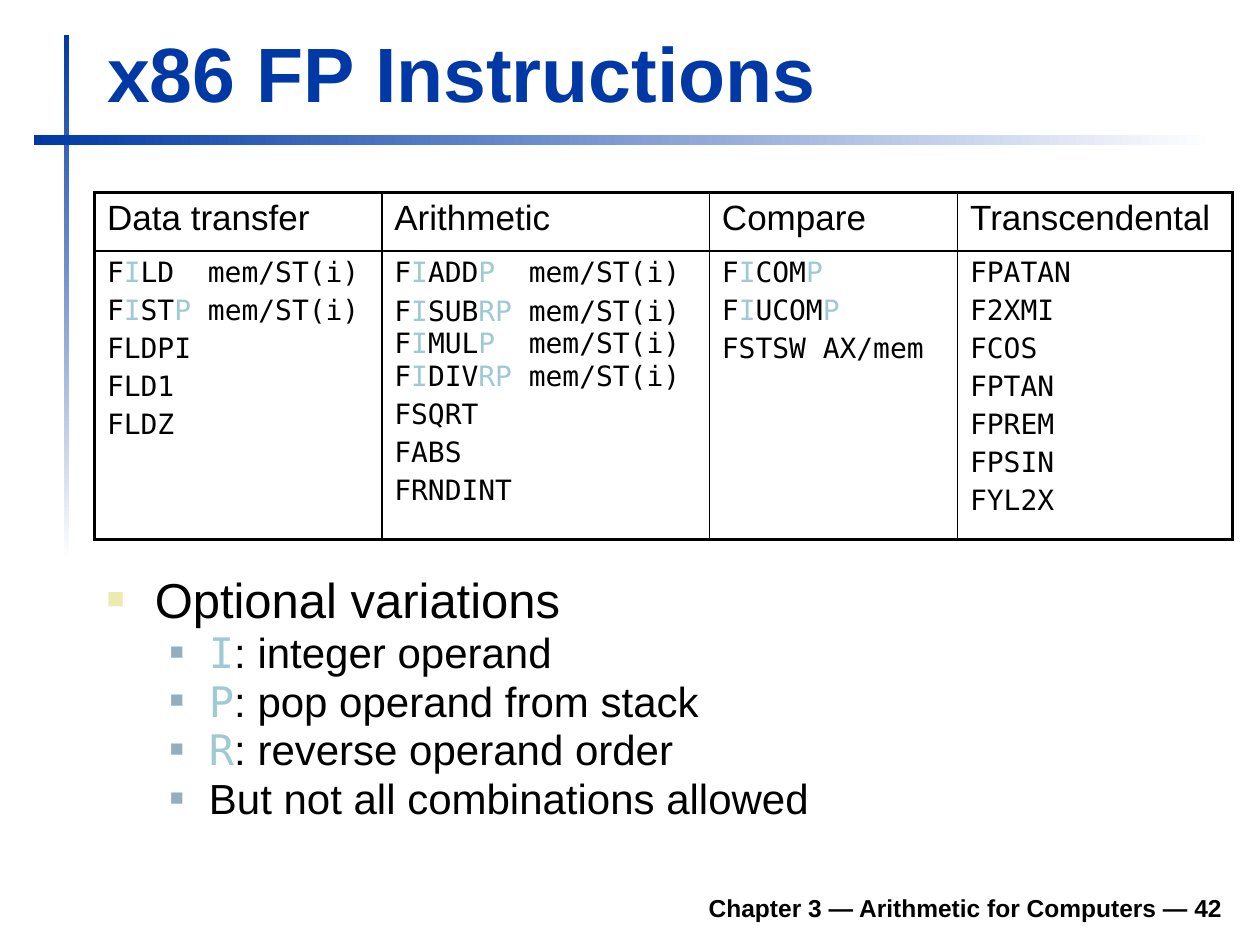
from lxml import etree
from pptx import Presentation
from pptx.dml.color import RGBColor
from pptx.enum.shapes import MSO_SHAPE
from pptx.enum.text import MSO_ANCHOR, MSO_AUTO_SIZE, PP_ALIGN
from pptx.oxml.ns import qn
from pptx.util import Inches, Pt

RECTANGLE = MSO_SHAPE.RECTANGLE
BOTTOM = MSO_ANCHOR.BOTTOM
LEFT, RIGHT = PP_ALIGN.LEFT, PP_ALIGN.RIGHT
FIT_SHAPE = MSO_AUTO_SIZE.SHAPE_TO_FIT_TEXT

TITLE_ONLY = 5
SANS, MONO = "Arial", "DejaVu Sans Mono"
BLUE, WHITE, BLACK, ACCENT = "0039A6", "FFFFFF", "000000", "9FCAD3"
OUTER, HEADER_RULE, INNER = 2.25, 1.5, 1

# Square brackets mark the optional letters; a newline is a line break.
COLUMNS = [
    ("Data transfer", 2.28, [
        "F[I]LD  mem/ST(i)", "F[I]ST[P] mem/ST(i)", "FLDPI", "FLD1", "FLDZ"]),
    ("Arithmetic", 2.6, [
        "F[I]ADD[P]  mem/ST(i)",
        "F[I]SUB[RP] mem/ST(i)\nF[I]MUL[P]  mem/ST(i)\nF[I]DIV[RP] mem/ST(i)",
        "FSQRT", "FABS", "FRNDINT"]),
    ("Compare", 1.97, ["F[I]COM[P]", "F[I]UCOM[P]", "FSTSW AX/mem"]),
    ("Transcendental", 2.18, [
        "FPATAN", "F2XMI", "FCOS", "FPTAN", "FPREM", "FPSIN", "FYL2X"]),
]
ROW_HEIGHTS = [0.46, 2.29]
VARIATIONS = ["[I]: integer operand", "[P]: pop operand from stack",
              "[R]: reverse operand order", "But not all combinations allowed"]


def rgb(value):
    return RGBColor.from_string(value)


def style(span, size, color=BLACK, font=SANS, bold=False):
    span.font.size = Pt(size)
    span.font.name = font
    span.font.bold = bold
    span.font.color.rgb = rgb(color)


def write_marked(para, text, size, font):
    """Write text whose bracketed parts are in the accent colour and mono font."""
    for number, line in enumerate(text.split("\n")):
        if number:
            para.add_line_break()
        for index, part in enumerate(line.replace("]", "[").split("[")):
            if part:
                span = para.add_run()
                span.text = part
                if index % 2:
                    style(span, size, ACCENT, MONO)
                else:
                    style(span, size, BLACK, font)


def write_paragraphs(frame, lines, size, font):
    for index, line in enumerate(lines):
        para = frame.add_paragraph() if index else frame.paragraphs[0]
        write_marked(para, line, size, font)
        space_before(para)


def space_before(para):
    """Set a space before the paragraph of 20 percent of its line."""
    para.space_before = Pt(0)
    spacing = para._p.pPr.find(qn("a:spcBef"))
    spacing.clear()
    etree.SubElement(spacing, qn("a:spcPct"), val="20000")


def add_bullet(para, color, percent, margin, hanging):
    properties = para._p.get_or_add_pPr()
    properties.set("marL", str(Inches(margin)))
    properties.set("indent", str(-Inches(hanging)))
    paint = etree.SubElement(properties, qn("a:buClr"))
    etree.SubElement(paint, qn("a:srgbClr"), val=color)
    etree.SubElement(properties, qn("a:buSzPct"), val=str(percent * 1000))
    etree.SubElement(properties, qn("a:buFont"), typeface=SANS)
    etree.SubElement(properties, qn("a:buChar"), char="■")


def add_gradient_bar(page, left, top, width, height, angle):
    bar = page.shapes.add_shape(
        RECTANGLE, Inches(left), Inches(top), Inches(width), Inches(height))
    bar.shadow.inherit = False
    bar.line.fill.background()
    bar.fill.gradient()
    bar.fill.gradient_angle = angle
    for stop, color in zip(bar.fill.gradient_stops, (BLUE, WHITE)):
        stop.color.rgb = rgb(color)


def add_text_box(page, left, top, width, height):
    box = page.shapes.add_textbox(
        Inches(left), Inches(top), Inches(width), Inches(height))
    box.text_frame.word_wrap = True
    return box.text_frame


def set_title(page, text):
    title = page.shapes.title
    title.left, title.top = Inches(0.75), Inches(0.16)
    title.width, title.height = Inches(9.03), Inches(0.83)
    frame = title.text_frame
    frame.text = text
    frame.vertical_anchor = BOTTOM
    frame.auto_size = FIT_SHAPE
    frame.paragraphs[0].alignment = LEFT
    style(frame.paragraphs[0].runs[0], 44, BLUE, bold=True)


def set_borders(cell, widths):
    """Draw the left, right, top and bottom borders with these point widths."""
    properties = cell._tc.get_or_add_tcPr()
    for side, width in zip("LRTB", widths):
        line = etree.SubElement(properties, qn(f"a:ln{side}"), w=str(Pt(width)))
        fill = etree.SubElement(line, qn("a:solidFill"))
        etree.SubElement(fill, qn("a:srgbClr"), val=BLACK)


def add_instruction_table(page):
    widths = [width for _, width, _ in COLUMNS]
    table = page.shapes.add_table(
        len(ROW_HEIGHTS), len(COLUMNS), Inches(0.75), Inches(1.53),
        Inches(sum(widths)), Inches(sum(ROW_HEIGHTS))).table
    table.first_row = table.horz_banding = False
    for row, height in zip(table.rows, ROW_HEIGHTS):
        row.height = Inches(height)
    last = len(COLUMNS) - 1
    for index, (heading, width, instructions) in enumerate(COLUMNS):
        table.columns[index].width = Inches(width)
        left = INNER if index else OUTER
        right = INNER if index < last else OUTER
        head, body = table.cell(0, index), table.cell(1, index)
        write_paragraphs(head.text_frame, [heading], 20, SANS)
        write_paragraphs(body.text_frame, instructions, 16, MONO)
        set_borders(head, (left, right, OUTER, HEADER_RULE))
        set_borders(body, (left, right, HEADER_RULE, OUTER))
        for cell in (head, body):
            cell.fill.background()


def add_variations(page):
    frame = add_text_box(page, 0.75, 4.56, 9.05, 2.26)
    write_paragraphs(frame, ["Optional variations"], 28, SANS)
    for text in VARIATIONS:
        para = frame.add_paragraph()
        para.level = 1
        write_marked(para, text, 24, SANS)
        space_before(para)
    for para in frame.paragraphs:
        para.line_spacing = 0.8
        if para.level:
            add_bullet(para, "91AFBF", 55, 0.81, 0.31)
        else:
            add_bullet(para, "ECEAAC", 60, 0.38, 0.38)


def add_footer(page, text):
    frame = add_text_box(page, 1.85, 6.98, 7.95, 0.39)
    frame.vertical_anchor = BOTTOM
    frame.text = text
    frame.paragraphs[0].alignment = RIGHT
    style(frame.paragraphs[0].runs[0], 14, bold=True)


def main():
    deck = Presentation()
    deck.slide_width, deck.slide_height = Inches(10), Inches(7.5)
    page = deck.slides.add_slide(deck.slide_layouts[TITLE_ONLY])
    add_gradient_bar(page, 0.51, 0.28, 0.04, 4.17, 270)
    add_gradient_bar(page, 0.27, 1.07, 9.37, 0.08, 0)
    add_footer(page, "Chapter 3 — Arithmetic for Computers — 42")
    set_title(page, "x86 FP Instructions")
    add_variations(page)
    add_instruction_table(page)
    deck.save("out.pptx")


if __name__ == "__main__":
    main()
